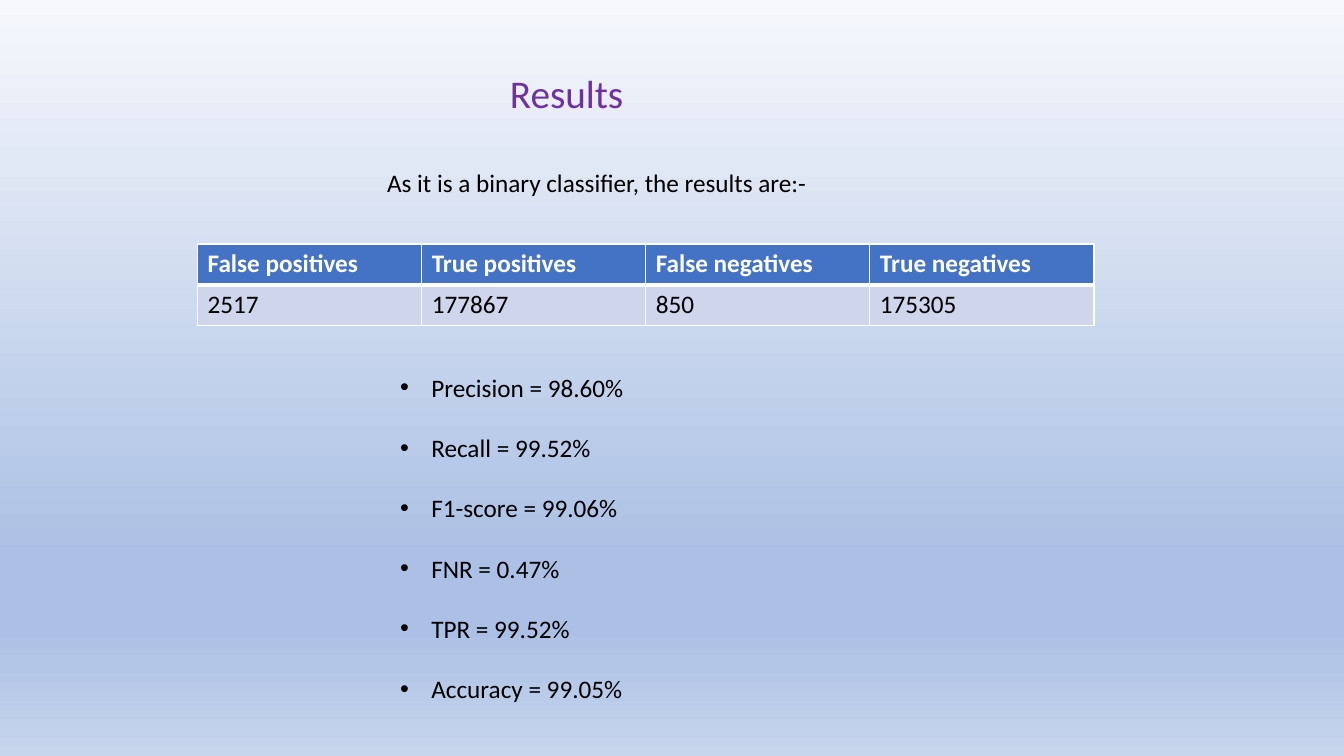
from lxml import etree
from pptx import Presentation
from pptx import util as u
from pptx.dml.color import RGBColor
from pptx.enum import text
from pptx.oxml.ns import qn

HUES = {"title": "7030A0", "ink": "000000", "white": "FFFFFF",
        "head": "4472C4", "body": "CFD5EA",
        "top": "F6F8FC", "deep": "ABC0E4", "base": "C7D5ED"}


def put(frame, lines, size=18, hue="ink", bold=False, bullet=False, gap=0):
    """Write the lines as paragraphs of one text frame."""
    for i, line in enumerate(lines):
        para = frame.paragraphs[0] if i == 0 else frame.add_paragraph()
        run = para.add_run()
        run.text = line
        run.font.name = "Calibri"
        run.font.size = u.Pt(size)
        run.font.bold = bold
        run.font.color.rgb = RGBColor.from_string(HUES[hue])
        if i:
            para.space_before = u.Pt(gap)
        if bullet:
            props = para._p.get_or_add_pPr()
            props.set("marL", str(u.Inches(0.31)))
            props.set("indent", str(-u.Inches(0.31)))
            etree.SubElement(props, qn("a:buFont"), typeface="Arial")
            etree.SubElement(props, qn("a:buChar"), char="•")


deck = Presentation()
deck.slide_width, deck.slide_height = u.Inches(13.33), u.Inches(7.5)
slide = deck.slides.add_slide(deck.slide_layouts[6])

# Background gradient, top to bottom
fill = slide.background.fill
fill.gradient()
fill.gradient_angle = 270
stops = slide._element.find(".//" + qn("a:gsLst"))
for stop in list(stops):
    stops.remove(stop)
for spot, hue in ((0, "top"), (74, "deep"), (83, "deep"), (100, "base")):
    stop = etree.SubElement(stops, qn("a:gs"), pos=str(spot * 1000))
    etree.SubElement(stop, qn("a:srgbClr"), val=HUES[hue])

# Title, lead-in and metrics
metrics = ["Precision = 98.60%", "Recall = 99.52%", "F1-score = 99.06%",
           "FNR = 0.47%", "TPR = 99.52%", "Accuracy = 99.05%"]
blocks = [
    ((4.96, 0.64, 1.44, 0.57), ["Results"], dict(size=28, hue="title")),
    ((3.74, 1.61, 5.15, 0.4),
     ["As it is a binary classifier, the results are:-"], {}),
    ((3.87, 3.64, 6.03, 3.43), metrics, dict(bullet=True, gap=21.5)),
]
for place, lines, style in blocks:
    box = slide.shapes.add_textbox(*[u.Inches(n) for n in place])
    box.text_frame.word_wrap = True
    box.text_frame.auto_size = text.MSO_AUTO_SIZE.SHAPE_TO_FIT_TEXT
    put(box.text_frame, lines, **style)

# Table of counts
counts = [("False positives", "2517"), ("True positives", "177867"),
          ("False negatives", "850"), ("True negatives", "175305")]
table = slide.shapes.add_table(
    2, len(counts), u.Inches(1.96), u.Inches(2.42),
    u.Inches(8.89), u.Inches(0.81)).table
for r, row in enumerate(zip(*counts)):
    head = r == 0
    for c, word in enumerate(row):
        cell = table.cell(r, c)
        put(cell.text_frame, [word], hue="white" if head else "ink", bold=head)
        cell.fill.solid()
        cell.fill.fore_color.rgb = RGBColor.from_string(
            HUES["head" if head else "body"])
        # White borders, thicker between head and body
        props = cell._tc.get_or_add_tcPr()
        thick = "lnB" if head else "lnT"
        for i, side in enumerate(("lnL", "lnR", "lnT", "lnB")):
            width = u.Pt(3 if side == thick else 1)
            edge = etree.Element(qn("a:" + side), w=str(width))
            paint = etree.SubElement(edge, qn("a:solidFill"))
            etree.SubElement(paint, qn("a:srgbClr"), val=HUES["white"])
            props.insert(i, edge)

deck.save("out.pptx")
